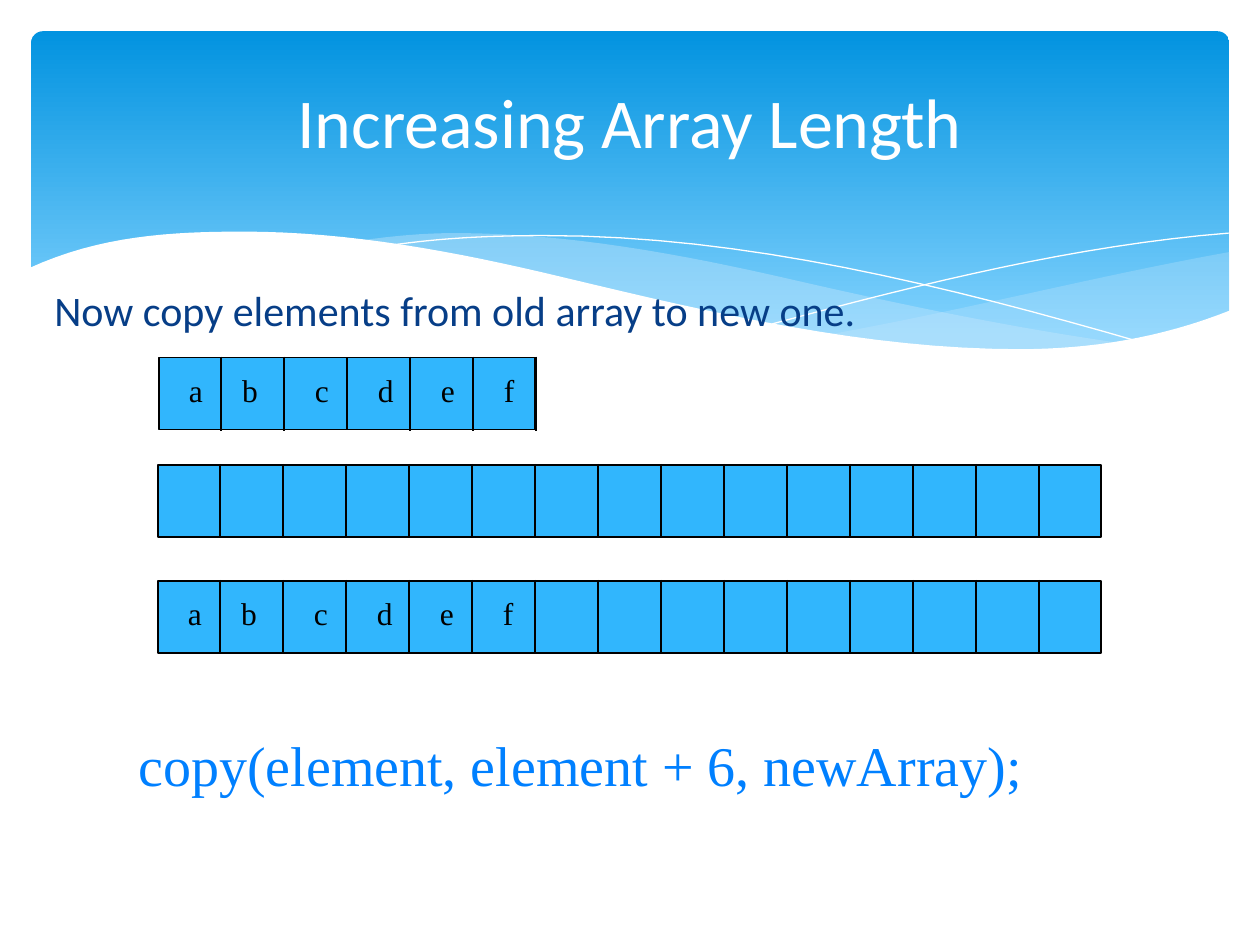
from itertools import pairwise

from pptx import Presentation
from pptx import util as u
from pptx.dml.color import RGBColor
from pptx.enum import shapes, text
from pptx.oxml import parse_xml
from pptx.oxml.ns import nsdecls

Cm = u.Cm
HUES = {"top": "0293E0", "low": "83D3FE", "mist": "C6E7FC", "white": "FFFFFF",
        "cell": "31B6FD", "black": "000000", "navy": "073E87", "code": "0080FF"}
SANS, SERIF = "Calibri", "Times New Roman"
WIDE, TALL = 25.4, 19.05
CELL, HIGH = 1.27, 1.45
STEPS = 16


def hue(name):
    return RGBColor.from_string(HUES[name])


def xml(tag, more=""):
    return parse_xml(f'<a:{tag} {nsdecls("a")} {more}/>')


def curve(*knots):
    dots = [knots[0][:2]]
    for (x1, y1, slope1), (x2, y2, slope2) in pairwise(knots):
        span = x2 - x1
        for t in (step / STEPS for step in range(1, STEPS + 1)):
            ease = t * t * (3 - 2 * t)
            bend = span * t * (1 - t) * (slope1 * (1 - t) - slope2 * t)
            dots.append((x1 + span * t, y1 + (y2 - y1) * ease + bend))
    return dots


def draw(group, left, top, dots, close):
    spots = [(Cm(left + x), Cm(top + y)) for x, y in dots]
    pen = group.shapes.build_freeform(*spots[0])
    pen.add_line_segments(spots[1:], close=close)
    form = pen.convert_to_shape()
    form.shadow.inherit = False
    return form


def area(group, left, top, upper, lower, name, alpha=100):
    form = draw(group, left, top, upper + lower[::-1], True)
    form.line.fill.background()
    form.fill.solid()
    form.fill.fore_color.rgb = hue(name)
    if alpha < 100:
        tint = form.element.spPr.find(".//{*}solidFill/{*}srgbClr")
        tint.append(xml("alpha", f'val="{alpha * 1000}"'))


def thread(group, left, top, dots):
    form = draw(group, left, top, dots, False)
    form.fill.background()
    form.line.color.rgb = hue("white")
    form.line.width = u.Pt(0)


def panel(slide, left, top, width, height):
    block = slide.shapes.add_shape(shapes.MSO_SHAPE.ROUNDED_RECTANGLE, Cm(left), Cm(top),
                                   Cm(width), Cm(height))
    block.adjustments[0] = 0.034
    block.shadow.inherit = False
    block.line.fill.background()
    block.fill.gradient()
    block.fill.gradient_angle = 270
    for stop, spot, name in zip(block.fill.gradient_stops, (0, 0.9), ("top", "low")):
        stop.position = spot
        stop.color.rgb = hue(name)


def waves(slide, left, top):
    group = slide.shapes.add_group_shape()
    box = group, left, top
    area(*box, curve((16.79, 6.73, -0.18), (24.79, 5.08, -0.18)),
         curve((16.79, 6.73, 0.15), (20.68, 7.06, 0), (24.79, 6.27, -0.38)), "mist", 29)
    area(*box, curve((7.26, 4.85, -0.14), (9.17, 4.7, 0), (15.98, 5.64, 0.23),
                     (22.68, 6.93, 0.14)),
         curve((7.26, 4.85, 0.13), (11.4, 5.64, 0.24), (20.78, 7.06, 0),
               (22.68, 6.93, -0.12)), "mist", 40)
    thread(*box, curve((7.85, 4.95, -0.15), (11, 4.75, 0), (23.04, 6.91, 0.29)))
    thread(*box, curve((15.57, 6.53, -0.27), (24.77, 4.7, -0.08)))
    area(*box, curve((0.58, 5.41, -0.46), (4.9, 4.67, 0), (11.35, 5.59, 0.24),
                     (20.55, 7.04, 0), (24.82, 6.25, -0.4)),
         [(0.58, 8.36), (24.82, 8.36)], "white")


def write(frame, words, face, size, name):
    par = frame.paragraphs[0]
    run = par.add_run()
    run.text = words
    run.font.name, run.font.size = face, u.Pt(size)
    run.font.color.rgb = hue(name)
    return par


def place(holder, left, top, width, height):
    holder.left, holder.top = Cm(left), Cm(top)
    holder.width, holder.height = Cm(width), Cm(height)
    holder.element.getparent().append(holder.element)
    frame = holder.text_frame
    frame.auto_size = text.MSO_AUTO_SIZE.NONE
    return frame


def title(slide, *box):
    frame = place(slide.shapes.title, *box)
    frame.vertical_anchor = text.MSO_ANCHOR.MIDDLE
    par = write(frame, "Increasing Array Length", SANS, 40, "white")
    par.alignment = text.PP_ALIGN.CENTER


def body(slide, *box):
    frame = place(slide.placeholders[1], *box)
    par = write(frame, "Now copy elements from old array to new one.", SANS, 24, "navy")
    par.line_spacing = 0.9
    par.space_before = u.Pt(4.8)
    props = par._p.get_or_add_pPr()
    props.set("marL", str(Cm(0.76)))
    props.set("indent", str(Cm(-0.76)))
    props.append(xml("buNone"))


def array(slide, left, top, count, lines, letters=""):
    group = slide.shapes.add_group_shape().shapes
    bar = group.add_shape(shapes.MSO_SHAPE.RECTANGLE, Cm(left), Cm(top),
                          Cm(count * CELL - 0.03), Cm(HIGH))
    bar.shadow.inherit = False
    bar.fill.solid()
    bar.fill.fore_color.rgb = hue("cell")
    bar.line.color.rgb = hue("black")
    bar.line.width = u.Pt(1)
    for i in range(1, lines + 1):
        x = Cm(left + i * CELL - 0.02)
        rule = group.add_connector(shapes.MSO_CONNECTOR.STRAIGHT, x, Cm(top - 0.02),
                                   x, Cm(top + HIGH + 0.02))
        rule.line.color.rgb = hue("black")
        rule.line.width = u.Pt(1)
        rule.element.spPr.append(xml("effectLst"))
        if 2 * i == count:
            rule.begin_connect(bar, 0)
            rule.end_connect(bar, 2)
    for i, char in enumerate(letters):
        shift = 0.16 if char == "b" else 0.36
        label = group.add_textbox(Cm(left + i * CELL + shift), Cm(top + 0.15),
                                  Cm(0.9), Cm(1.27))
        label.text_frame.word_wrap = False
        write(label.text_frame, char, SERIF, 18, "black")


def code(slide, left, top, width, height):
    frame = slide.shapes.add_textbox(Cm(left), Cm(top), Cm(width), Cm(height)).text_frame
    frame.word_wrap = True
    par = write(frame, "copy(element, element + 6, newArray);", SERIF, 32, "code")
    par.space_before = u.Pt(16)


def main():
    deck = Presentation()
    deck.slide_width, deck.slide_height = Cm(WIDE), Cm(TALL)
    slide = deck.slides.add_slide(deck.slide_layouts[1])
    panel(slide, 0.63, 0.63, 24.15, 6.86)
    waves(slide, 0, 0)
    title(slide, 1.9, 0.84, 21.59, 3.18)
    body(slide, 0.84, 5.72, 22.66, 1.47)
    array(slide, 3.2, 7.21, 6, 6, "abcdef")
    array(slide, 3.18, 9.37, 15, 14)
    array(slide, 3.18, 11.71, 15, 14, "abcdef")
    code(slide, 2.54, 14.61, 21.39, 1.6)
    deck.save("out.pptx")


if __name__ == "__main__":
    main()
